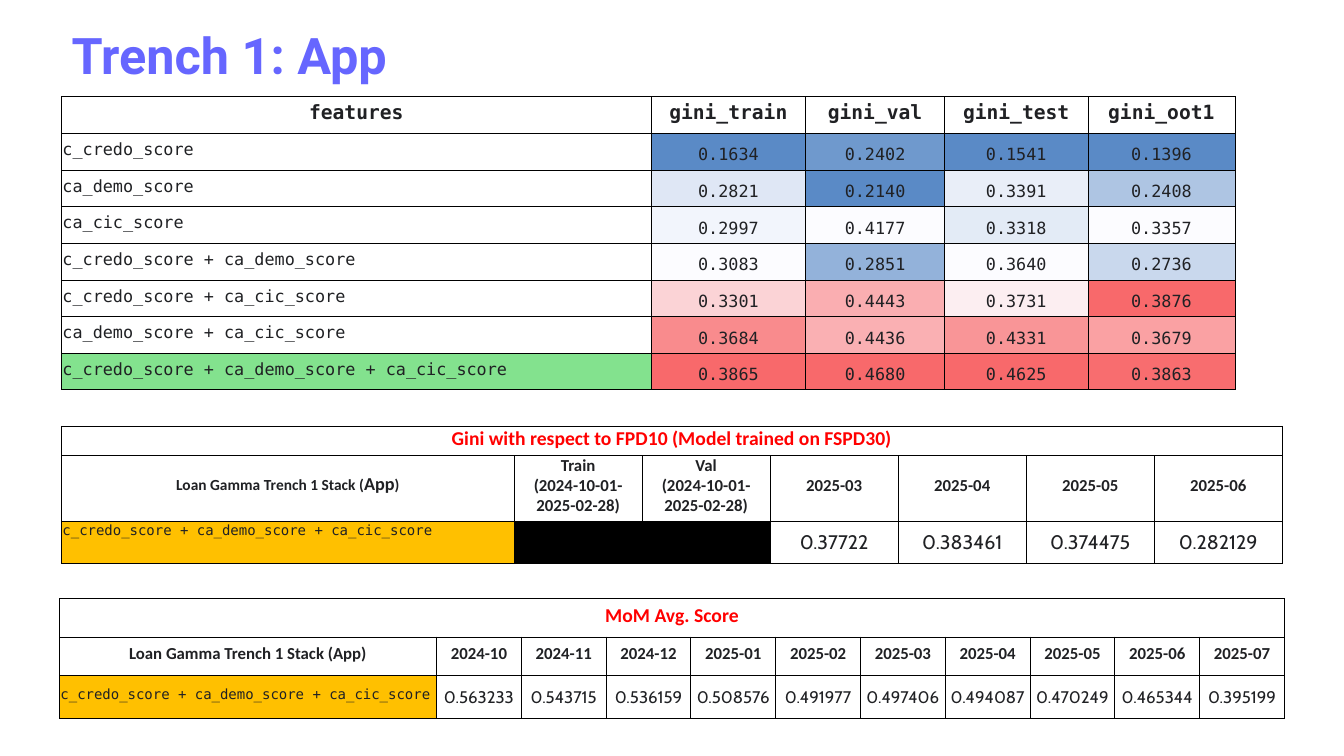
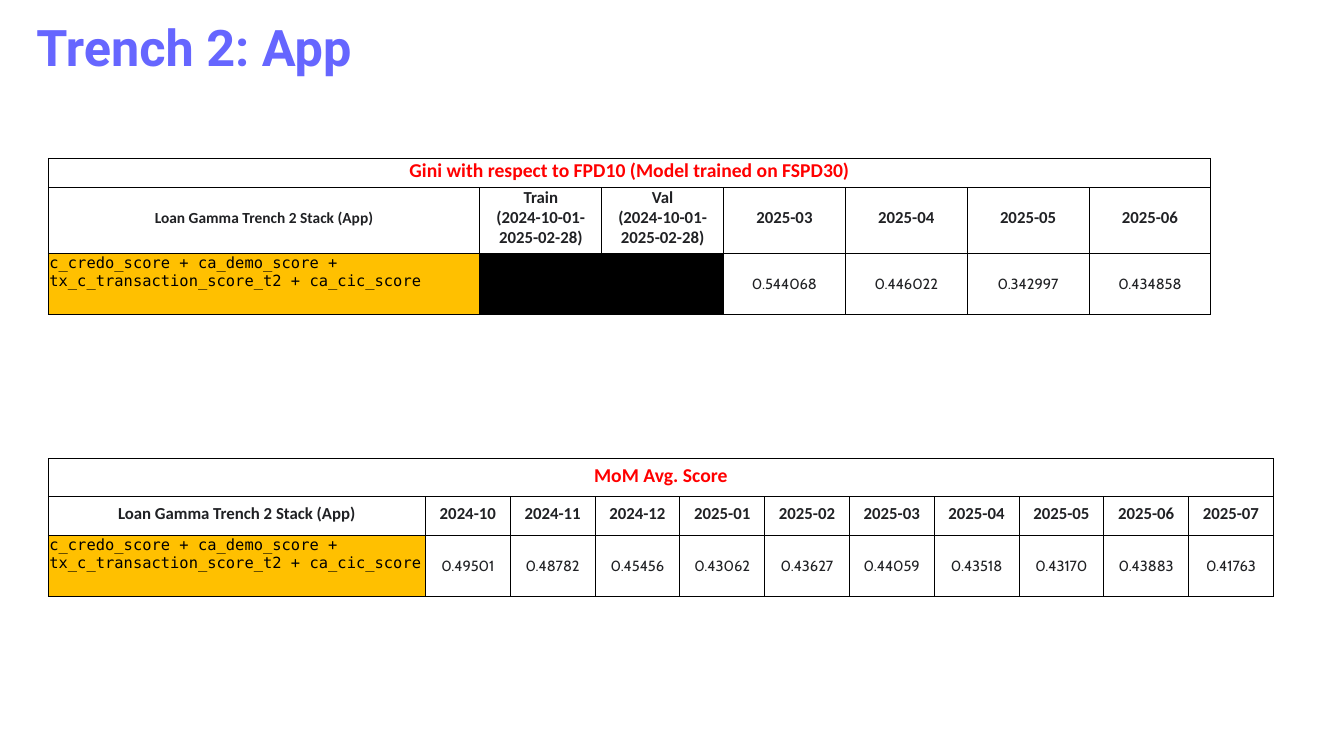
"""Build two slides of model score tables."""
from lxml.etree import SubElement
from pptx import Presentation
from pptx.dml.color import RGBColor
from pptx.enum.text import MSO_AUTO_SIZE as AutoSize
from pptx.enum.text import MSO_VERTICAL_ANCHOR as Anchor
from pptx.enum.text import PP_PARAGRAPH_ALIGNMENT as Align
from pptx.oxml.ns import qn
from pptx.util import Inches, Pt

COLORS = {
    "title": "6666FF", "ink": "202124", "black": "000000", "white": "FFFFFF",
    "heading": "FF0000", "model": "FFC000", "best": "83E28E",
    "low": "5A8AC6", "middle": "FCFCFF", "high": "F8696B",
}
MONO = "DejaVu Sans Mono"
MONTHS = ["2024-10", "2024-11", "2024-12", "2025-01", "2025-02",
          "2025-03", "2025-04", "2025-05", "2025-06", "2025-07"]
PERIOD = "\n(2024-10-01-2025-02-28)"
GINI_HEADS = ["Train" + PERIOD, "Val" + PERIOD] + MONTHS[5:9]

FEATURE_HEADS = ["features", "gini_train", "gini_val", "gini_test", "gini_oot1"]
FEATURE_ROWS = [
    ["c_credo_score", "0.1634", "0.2402", "0.1541", "0.1396"],
    ["ca_demo_score", "0.2821", "0.2140", "0.3391", "0.2408"],
    ["ca_cic_score", "0.2997", "0.4177", "0.3318", "0.3357"],
    ["c_credo_score + ca_demo_score", "0.3083", "0.2851", "0.3640", "0.2736"],
    ["c_credo_score + ca_cic_score", "0.3301", "0.4443", "0.3731", "0.3876"],
    ["ca_demo_score + ca_cic_score", "0.3684", "0.4436", "0.4331", "0.3679"],
    ["c_credo_score + ca_demo_score + ca_cic_score",
     "0.3865", "0.4680", "0.4625", "0.3863"],
]
STACK_1 = FEATURE_ROWS[-1][0]
STACK_2 = "c_credo_score + ca_demo_score + tx_c_transaction_score_t2 + ca_cic_score"


def write(frame, text, size=12, font="Calibri", color="ink", bold=False,
          align=Align.LEFT, spacing=None):
    """Append formatted text to the first paragraph of a frame."""
    para = frame.paragraphs[0]
    para.alignment = align
    if spacing:
        para.line_spacing = Pt(spacing)
    for index, line in enumerate(text.split("\n")):
        if index:
            para.add_line_break()
        span = para.add_run()
        span.text = line
        span.font.size = Pt(size)
        span.font.name = font
        span.font.bold = bold
        span.font.color.rgb = RGBColor.from_string(COLORS[color])


def blend(start, end, share):
    """Mix two hex colours by a share from 0 to 1."""
    pairs = zip(bytes.fromhex(start), bytes.fromhex(end))
    return "".join(f"{round(a + (b - a) * share):02X}" for a, b in pairs)


def heat(value, values):
    """Place a value on the low, median and high colour scale."""
    ranked = sorted(values)
    low, middle, high = ranked[0], ranked[len(ranked) // 2], ranked[-1]
    if value <= middle:
        share = (value - low) / (middle - low)
        return blend(COLORS["low"], COLORS["middle"], share)
    share = (value - middle) / (high - middle)
    return blend(COLORS["middle"], COLORS["high"], share)


class ScoreDeck:
    """Hold the shared style and the current slide."""

    def __init__(self):
        """Start an empty wide deck."""
        self.deck = Presentation()
        self.deck.slide_width = Inches(13.33)
        self.deck.slide_height = Inches(7.5)
        self.page = None

    def add_page(self, title, left, top):
        """Add a slide with its title."""
        self.page = self.deck.slides.add_slide(self.deck.slide_layouts[5])
        box = self.page.shapes.title
        box.left, box.top = Inches(left), Inches(top)
        box.width, box.height = Inches(8.35), Inches(0.71)
        frame = box.text_frame
        frame.word_wrap = True
        frame.auto_size = AutoSize.SHAPE_TO_FIT_TEXT
        frame.vertical_anchor = Anchor.TOP
        write(frame, title, size=36, font="Roboto", color="title", bold=True)

    def grid(self, left, top, widths, heights):
        """Add an empty table without banding."""
        shape = self.page.shapes.add_table(
            len(heights), len(widths), Inches(left), Inches(top),
            Inches(sum(widths)), Inches(sum(heights)))
        table = shape.table
        table.first_row = table.horz_banding = False
        for column, width in zip(table.columns, widths):
            column.width = Inches(width)
        for row, height in zip(table.rows, heights):
            row.height = Inches(height)
        return table

    def cell(self, cell, text, fill="FFFFFF", anchor=Anchor.MIDDLE,
             bottom=0.05, border=0.75, **style):
        """Fill, frame and write one table cell."""
        cell.margin_left = cell.margin_right = cell.margin_top = Inches(0.01)
        cell.margin_bottom = Inches(bottom)
        cell.vertical_anchor = anchor
        properties = cell._tc.get_or_add_tcPr()
        for side in ("lnL", "lnR", "lnT", "lnB"):
            line = SubElement(properties, qn(f"a:{side}"), w=str(Pt(border)))
            solid = SubElement(line, qn("a:solidFill"))
            SubElement(solid, qn("a:srgbClr"), val=COLORS["black"])
        cell.fill.solid()
        cell.fill.fore_color.rgb = RGBColor.from_string(fill)
        if text:
            write(cell.text_frame, text, **style)

    def feature_table(self, left, top, widths, height):
        """Add the table of features with colour-scaled scores."""
        table = self.grid(left, top, widths, [height] * (len(FEATURE_ROWS) + 1))
        for column, head in enumerate(FEATURE_HEADS):
            self.cell(table.cell(0, column), head, border=0.5, size=14,
                      font=MONO, bold=True, align=Align.CENTER)
        for row, (name, *scores) in enumerate(FEATURE_ROWS, 1):
            fill = COLORS["best" if name == STACK_1 else "white"]
            self.cell(table.cell(row, 0), name, fill, border=0.5, font=MONO)
            for column, score in enumerate(scores, 1):
                values = [float(line[column]) for line in FEATURE_ROWS]
                self.cell(table.cell(row, column), score,
                          heat(float(score), values), Anchor.BOTTOM,
                          border=0.5, font=MONO, align=Align.CENTER)

    def summary_table(self, left, top, width, name_width, heights, heading,
                      label, heads, model, scores, label_size=12,
                      label_spacing=14.2, model_size=10, model_color="ink",
                      model_anchor=Anchor.TOP, score_size=10.5):
        """Add a heading row, a row of periods and a row of scores."""
        share = (width - name_width) / len(heads)
        table = self.grid(left, top, [name_width] + [share] * len(heads), heights)
        for column in range(len(heads) + 1):
            self.cell(table.cell(0, column), heading if column == 0 else "",
                      size=14, color="heading", bold=True,
                      align=Align.CENTER, spacing=16.5)
        table.cell(0, 0).merge(table.cell(0, len(heads)))

        label_cell = table.cell(1, 0)
        self.cell(label_cell, "")
        for text, size in label if isinstance(label, list) else [(label, label_size)]:
            write(label_cell.text_frame, text, size=size, bold=True,
                  align=Align.CENTER, spacing=label_spacing)
        self.cell(table.cell(2, 0), model, COLORS["model"], model_anchor,
                  size=model_size, font=MONO, color=model_color)
        for column, (head, score) in enumerate(zip(heads, scores), 1):
            self.cell(table.cell(1, column), head, bold=True,
                      align=Align.CENTER, spacing=14.2)
            self.cell(table.cell(2, column), score,
                      COLORS["white" if score else "black"], bottom=0,
                      size=score_size, font="Cabin", align=Align.CENTER)

    def gini_table(self, left, top, width, name_width, heights, label, model,
                   scores, **style):
        """Add the Gini table with blacked-out training periods."""
        self.summary_table(left, top, width, name_width, heights,
                           "Gini with respect to FPD10 (Model trained on FSPD30)",
                           label, GINI_HEADS, model, ["", ""] + scores,
                           label_size=11, label_spacing=13.5, **style)

    def average_table(self, left, top, heights, label, model, scores, **style):
        """Add the table of monthly average scores."""
        self.summary_table(left, top, 12.15, 3.74, heights, "MoM Avg. Score",
                           label, MONTHS, model, scores, **style)


def main():
    """Build and save the deck."""
    deck = ScoreDeck()
    deck.add_page("Trench 1: App", 0.61, 0.19)
    deck.gini_table(
        0.61, 4.23, 12.11, 4.49, [0.29, 0.65, 0.42],
        [("Loan Gamma Trench 1 Stack (", 11), ("App", 13), (")", 11)], STACK_1,
        ["0.37722", "0.383461", "0.374475", "0.282129"], score_size=14)
    deck.average_table(
        0.59, 5.94, [0.38, 0.38, 0.43], "Loan Gamma Trench 1 Stack (App)", STACK_1,
        ["0.563233", "0.543715", "0.536159", "0.508576", "0.491977",
         "0.497406", "0.494087", "0.470249", "0.465344", "0.395199"],
        model_anchor=Anchor.MIDDLE, score_size=12)
    deck.feature_table(0.61, 0.96, [5.85, 1.53, 1.38, 1.42, 1.46], 2.91 / 8)

    deck.add_page("Trench 2: App", 0.26, 0.11)
    label = "Loan Gamma Trench 2 Stack (App)"
    style = {"model_size": 11, "model_color": "black"}
    deck.gini_table(
        0.48, 1.57, 11.53, 4.28, [0.29, 0.65, 0.61], label, STACK_2,
        ["0.544068", "0.446022", "0.342997", "0.434858"], **style)
    deck.average_table(
        0.48, 4.55, [0.38, 0.38, 0.61], label, STACK_2,
        ["0.49501", "0.48782", "0.45456", "0.43062", "0.43627",
         "0.44059", "0.43518", "0.43170", "0.43883", "0.41763"], **style)
    deck.deck.save("out.pptx")


if __name__ == "__main__":
    main()
